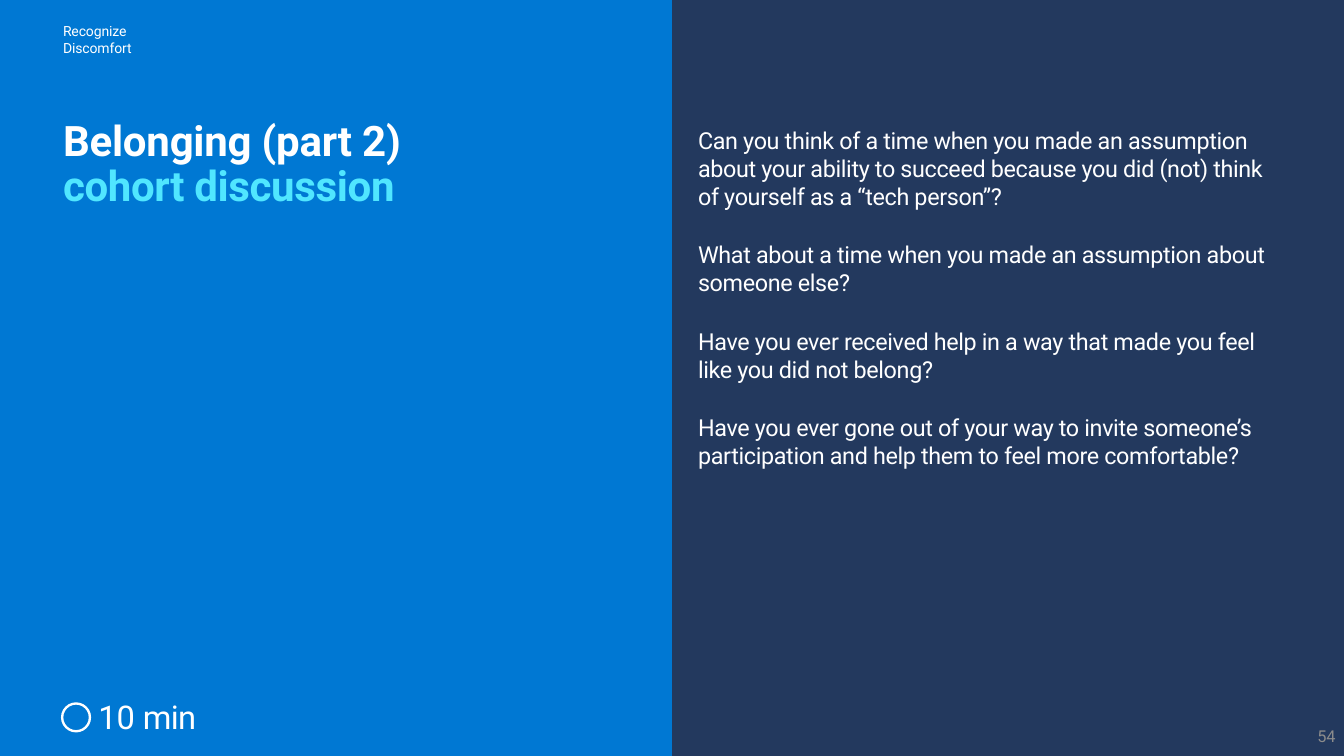
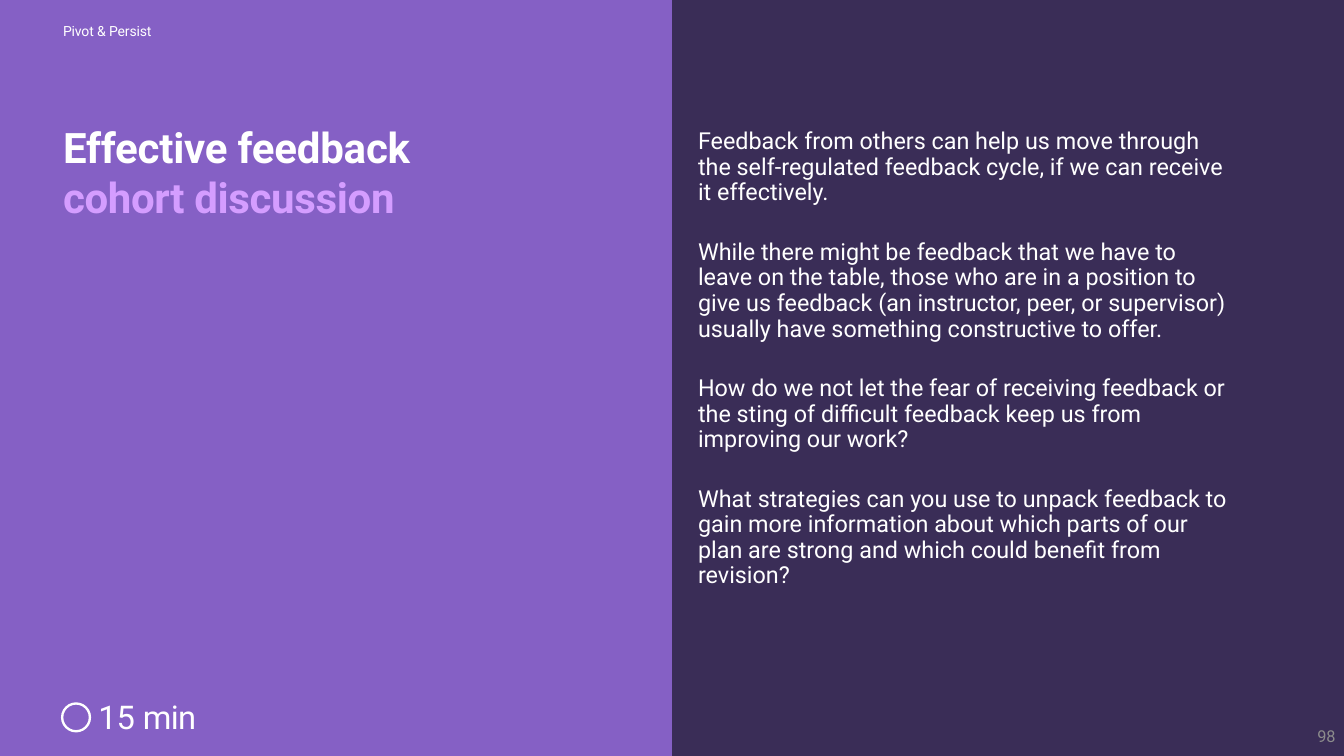
"""Build two cohort discussion slides, each with a title panel and a question panel."""
from pptx import Presentation
from pptx.dml.color import RGBColor
from pptx.enum.shapes import MSO_SHAPE
from pptx.enum.text import MSO_ANCHOR, MSO_AUTO_SIZE, PP_ALIGN
from pptx.oxml.xmlchemy import OxmlElement
from pptx.util import Pt

WIDE, HIGH = 1152, 648
HALF = WIDE / 2
LEFT = 53.3
FONT = "Roboto"
HUES = {
    "white": "FFFFFF", "gray": "8C8C8C",
    "blue": "0078D3", "navy": "23395E", "cyan": "50E6FF",
    "violet": "8560C5", "plum": "3A2D57", "lilac": "D49DFF",
}

SLIDES = [
    {
        "topic": ["Recognize", "Discomfort"],
        "title": "Belonging (part 2)",
        "body": [
            "Can you think of a time when you made an assumption about your "
            "ability to succeed because you did (not) think of yourself as a "
            "“tech person”?",
            "What about a time when you made an assumption about someone else?",
            "Have you ever received help in a way that made you feel like you "
            "did not belong?",
            "Have you ever gone out of your way to invite someone’s "
            "participation and help them to feel more comfortable?",
        ],
        "time": "10", "page": "54",
        "hues": ("blue", "navy", "cyan"),
        "head": {"box": (LEFT, 103, 502, 78), "lead": 38},
        "text": {"box": (597.6, 107.3, 500, 298), "gap": 26},
        "inset": (0.7, 0), "track": -0.3,
    },
    {
        "topic": ["Pivot & Persist"],
        "title": "Effective feedback",
        "body": [
            "Feedback from others can help us move through the self-regulated "
            "feedback cycle, if we can receive it effectively.",
            "While there might be feedback that we have to leave on the table, "
            "those who are in a position to give us feedback (an instructor, "
            "peer, or supervisor) usually have something constructive to offer.",
            "How do we not let the fear of receiving feedback or the sting of "
            "difficult feedback keep us from improving our work?",
            "What strategies can you use to unpack feedback to gain more "
            "information about which parts of our plan are strong and which "
            "could benefit from revision?",
        ],
        "time": "15", "page": "98",
        "hues": ("violet", "plum", "lilac"),
        "head": {"box": (LEFT, 103, 323, 88)},
        "text": {"box": (597.6, 106.6, 522, 400), "lead": 22, "gap": 28.8},
        "inset": (3.6, 64), "track": 0,
    },
]


def color(name):
    return RGBColor.from_string(HUES[name])


def panel(slide, left, hue):
    shape = slide.shapes.add_shape(
        MSO_SHAPE.RECTANGLE, Pt(left), 0, Pt(HALF), Pt(HIGH))
    shape.shadow.inherit = False
    shape.fill.solid()
    shape.fill.fore_color.rgb = color(hue)
    shape.line.fill.background()
    slide.shapes._spTree.insert(2, shape._element)


def write(shape, paras, size, box, inset=(0.7, 0), lead=None, gap=0,
          bold=False, split=False):
    """Fill a shape with paragraphs made of (text, hue, tracking) runs."""
    shape.left, shape.top, shape.width, shape.height = map(Pt, box)
    frame = shape.text_frame
    frame.word_wrap = True
    frame.auto_size = MSO_AUTO_SIZE.NONE
    frame.vertical_anchor = MSO_ANCHOR.TOP
    frame.margin_left, frame.margin_bottom = Pt(0.7), 0
    frame.margin_top, frame.margin_right = map(Pt, inset)
    for num, runs in enumerate(paras):
        para = frame.add_paragraph() if num else frame.paragraphs[0]
        props = para._p.get_or_add_pPr()
        props.set("marL", "0")
        props.set("indent", "0")
        para.alignment = PP_ALIGN.LEFT
        para.space_before = Pt(gap if num else 0)
        if lead:
            para.line_spacing = Pt(lead)
        props.append(OxmlElement("a:buNone"))
        para.font.name, para.font.size, para.font.bold = FONT, Pt(size), bold
        for spot, (text, hue, track) in enumerate(runs):
            if spot and split:
                para.add_line_break()
            run = para.add_run()
            run.text = text
            run.font.color.rgb = color(hue)
            run._r.get_or_add_rPr().set("spc", str(round(track * 100)))
    return frame


def label(slide, runs, size, box, **style):
    shape = slide.shapes.add_textbox(0, 0, 0, 0)
    return write(shape, [runs], size, box, **style)


def build(deck, data):
    slide = deck.slides.add_slide(deck.slide_layouts[1])
    base, dark, tint = data["hues"]
    panel(slide, 0, base)
    panel(slide, HALF, dark)
    title, body = slide.placeholders
    write(title, [[(data["title"], "white", -0.2),
                   ("cohort discussion", tint, -0.3)]],
          36, bold=True, split=True, **data["head"])
    write(body, [[(text, "white", data["track"])] for text in data["body"]],
          20, inset=data["inset"], **data["text"])
    label(slide, [(line, "white", -0.1) for line in data["topic"]],
          12, (LEFT, 18.7, 115, 30), split=True)
    ring = slide.shapes.add_shape(
        MSO_SHAPE.OVAL, Pt(LEFT), Pt(603), Pt(23.8), Pt(23.8))
    ring.shadow.inherit = False
    ring.fill.background()
    ring.line.color.rgb = color("white")
    ring.line.width = Pt(2)
    label(slide, [(data["time"] + " ", "white", 0), ("min", "white", -0.6)],
          28, (83.5, 594.7, 121, 37), inset=(2.9, 0))
    page = label(slide, [(data["page"], "gray", 0)],
                 14, (892.8, 613.4, 259.2, 34.6), inset=(0, 7.2))
    page.vertical_anchor = MSO_ANCHOR.MIDDLE
    page.paragraphs[0].alignment = PP_ALIGN.RIGHT


def main():
    deck = Presentation()
    deck.slide_width, deck.slide_height = Pt(WIDE), Pt(HIGH)
    for data in SLIDES:
        build(deck, data)
    deck.save("out.pptx")


if __name__ == "__main__":
    main()
